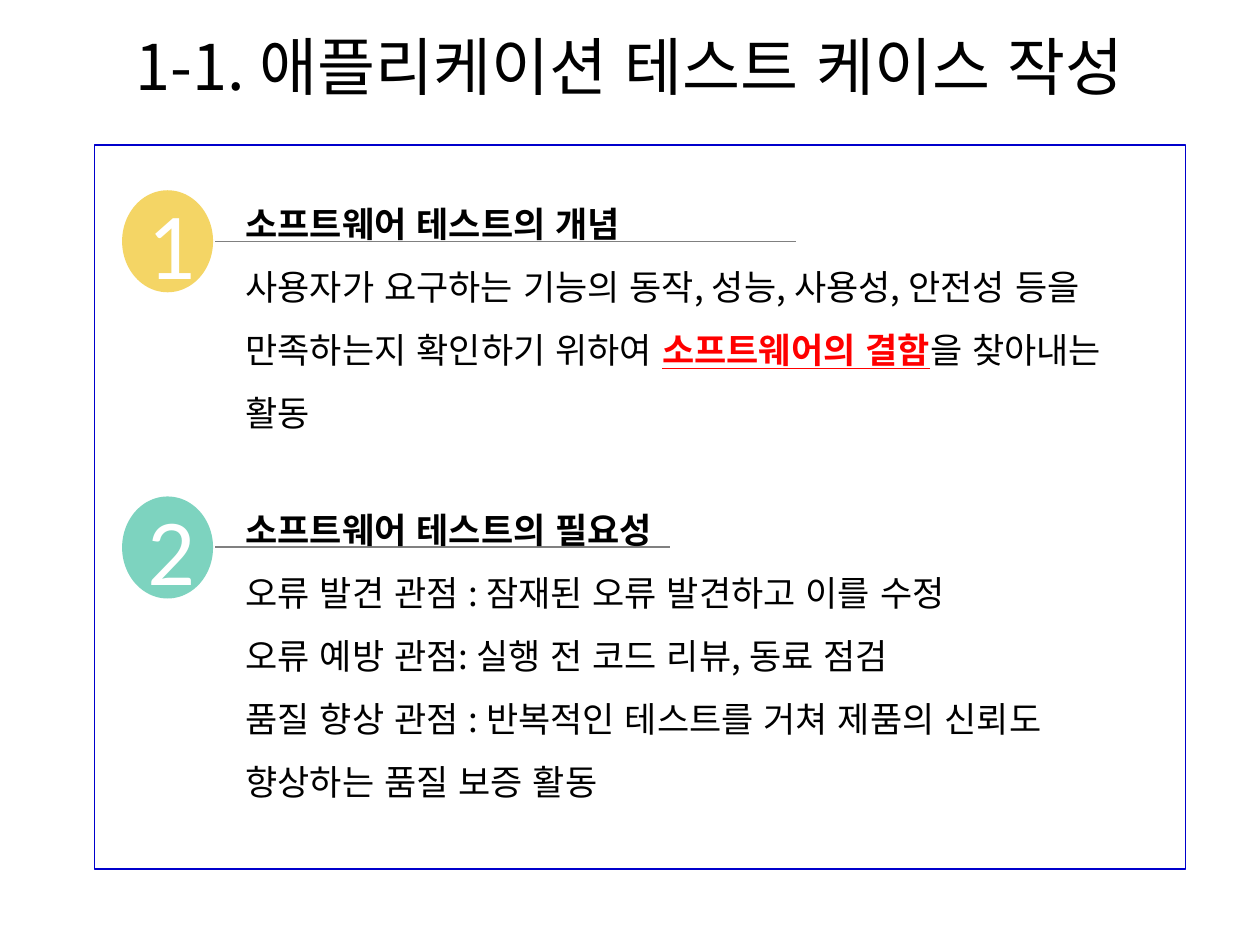
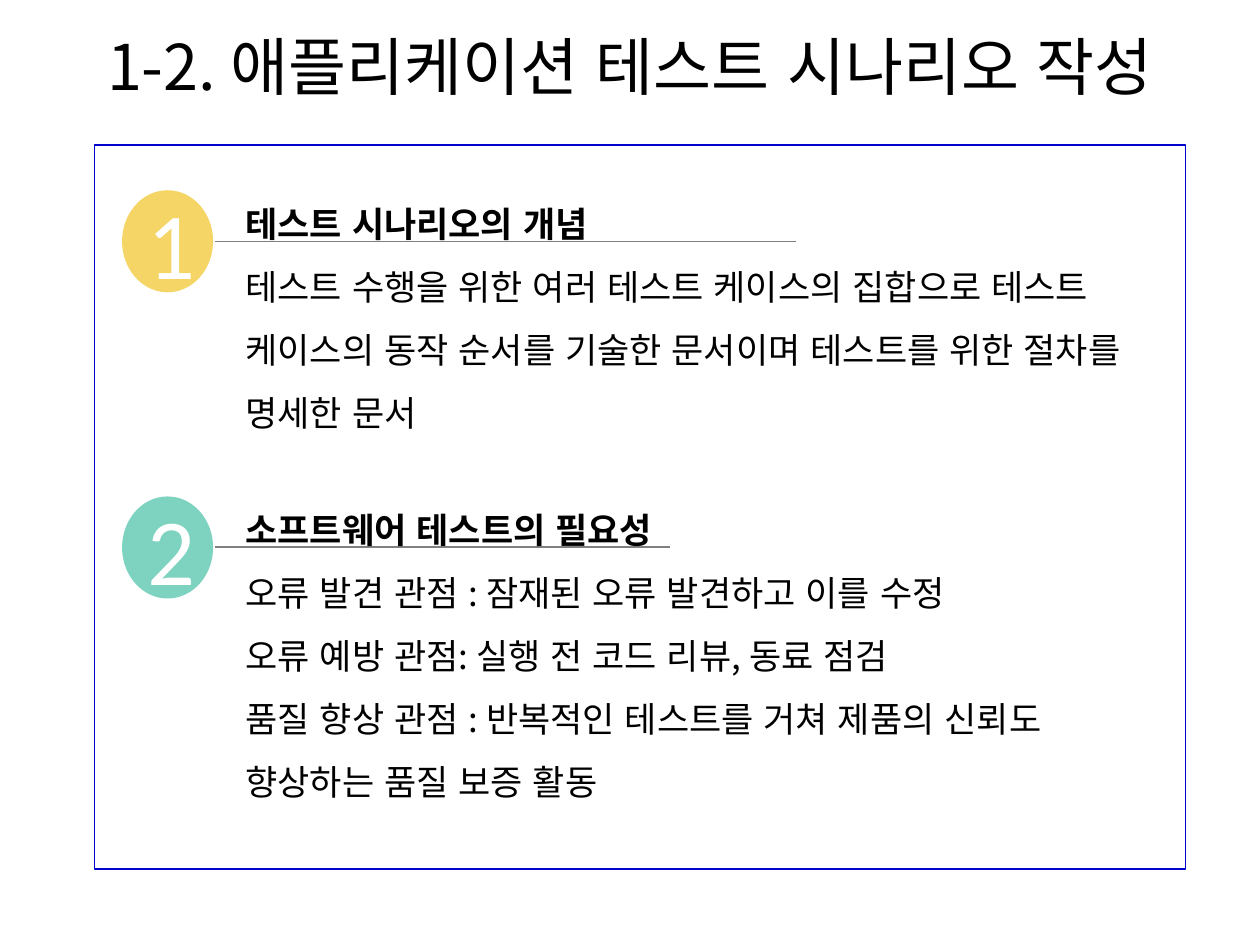
from dataclasses import dataclass

import pptx
import pptx.dml.color
import pptx.enum.dml
import pptx.enum.lang
import pptx.enum.shapes
import pptx.enum.text
import pptx.oxml
import pptx.oxml.ns
import pptx.presentation
import pptx.shapes.autoshape
import pptx.slide
import pptx.text.text
import pptx.util

Pt = pptx.util.Pt
RGBColor = pptx.dml.color.RGBColor
SHAPES = pptx.enum.shapes.MSO_SHAPE
ALIGN = pptx.enum.text.PP_ALIGN
ANCHOR = pptx.enum.text.MSO_ANCHOR

BLACK = RGBColor(0x00, 0x00, 0x00)
WHITE = RGBColor(0xFF, 0xFF, 0xFF)
RED = RGBColor(0xFF, 0x00, 0x00)
GRAY = RGBColor(0x80, 0x80, 0x80)
FRAME_BLUE = RGBColor(0x00, 0x00, 0xCC)
YELLOW = RGBColor(0xF0, 0xC4, 0x24)
TEAL = RGBColor(0x46, 0xC1, 0xA4)

KOREAN_FONT = "Noto Sans CJK KR"
NUMBER_FONT = "Calibri"
BADGE_OPACITY = 70


@dataclass(frozen=True)
class Phrase:
    text: str
    stressed: bool = False


@dataclass(frozen=True)
class Topic:
    heading: str
    body: tuple[tuple[Phrase, ...], ...]
    height: float


@dataclass(frozen=True)
class Slot:
    """Place and look of one numbered topic inside the frame."""
    number: str
    color: RGBColor
    badge_top: float
    text_top: float
    rule_y: float
    rule_end: float


@dataclass(frozen=True)
class Lesson:
    title: str
    topics: tuple[Topic, ...]


SLOTS = (
    Slot("1", YELLOW, 108.7, 100.1, 138, 455),
    Slot("2", TEAL, 283.7, 275, 312.5, 383),
)

NEED_FOR_TESTING = Topic("소프트웨어 테스트의 필요성", (
    (Phrase("오류 발견 관점 : 잠재된 오류 발견하고 이를 수정"),),
    (Phrase("오류 예방 관점: 실행 전 코드 리뷰, 동료 점검"),),
    (Phrase("품질 향상 관점 : 반복적인 테스트를 거쳐 제품의 신뢰도 향상하는 품질 보증 활동"),),
), 184.3)

LESSONS = (
    Lesson("1-1. 애플리케이션 테스트 케이스 작성", (
        Topic("소프트웨어 테스트의 개념", ((
            Phrase("사용자가 요구하는 기능의 동작, 성능, 사용성, 안전성 등을 만족하는지 확인하기 위하여 "),
            Phrase("소프트웨어의 결함", stressed=True),
            Phrase("을 찾아내는 활동"),
        ),), 152.6),
        NEED_FOR_TESTING,
    )),
    Lesson("1-2. 애플리케이션 테스트 시나리오 작성", (
        Topic("테스트 시나리오의 개념", ((
            Phrase("테스트 수행을 위한 여러 테스트 케이스의 집합으로 테스트 케이스의 동작 순서를 "
                   "기술한 문서이며 테스트를 위한 절차를 명세한 문서"),
        ),), 148.3),
        NEED_FOR_TESTING,
    )),
)


def add_run(paragraph: pptx.text.text._Paragraph, text: str, size: float,
            font: str = KOREAN_FONT, color: RGBColor = BLACK,
            bold: bool = False, underline: bool = False) -> None:
    run = paragraph.add_run()
    run.text = text
    run.font.size = Pt(size)
    run.font.name = font
    run.font.bold = bold
    run.font.underline = underline
    run.font.color.rgb = color
    run.font.language_id = pptx.enum.lang.MSO_LANGUAGE_ID.KOREAN
    # Hangul takes its typeface from the East Asian font
    east_asian = pptx.oxml.parse_xml(
        f'<a:ea {pptx.oxml.ns.nsdecls("a")} typeface="{font}"/>')
    run.font._element.append(east_asian)


def add_title(slide: pptx.slide.Slide, title: str) -> None:
    frame = slide.shapes.add_textbox(Pt(8.6), Pt(3.6), Pt(702.7), Pt(67.7)).text_frame
    frame.word_wrap = True
    frame.vertical_anchor = ANCHOR.MIDDLE
    frame.paragraphs[0].alignment = ALIGN.CENTER
    add_run(frame.paragraphs[0], title, 36)


def add_badge(slide: pptx.slide.Slide, slot: Slot) -> None:
    badge = slide.shapes.add_shape(
        SHAPES.OVAL, Pt(69.8), Pt(slot.badge_top), Pt(52), Pt(58.3))
    badge.shadow.inherit = False
    badge.fill.solid()
    badge.fill.fore_color.rgb = slot.color
    badge.line.fill.background()
    # Let the white slide show through the fill
    color = badge._element.spPr.find(".//" + pptx.oxml.ns.qn("a:srgbClr"))
    color.append(pptx.oxml.parse_xml(
        f'<a:alpha {pptx.oxml.ns.nsdecls("a")} val="{BADGE_OPACITY * 1000}"/>'))
    frame = badge.text_frame
    frame.vertical_anchor = ANCHOR.MIDDLE
    frame.paragraphs[0].alignment = ALIGN.CENTER
    add_run(frame.paragraphs[0], slot.number, 54, NUMBER_FONT, WHITE)


def add_rule(slide: pptx.slide.Slide, slot: Slot) -> None:
    rule = slide.shapes.add_connector(
        pptx.enum.shapes.MSO_CONNECTOR.STRAIGHT,
        Pt(123), Pt(slot.rule_y), Pt(slot.rule_end), Pt(slot.rule_y))
    rule.line.color.rgb = GRAY
    rule.line.width = Pt(0.75)
    rule._element.spPr.append(
        pptx.oxml.parse_xml(f'<a:effectLst {pptx.oxml.ns.nsdecls("a")}/>'))


def add_topic_text(slide: pptx.slide.Slide, topic: Topic, slot: Slot) -> None:
    frame = slide.shapes.add_textbox(
        Pt(133.2), Pt(slot.text_top), Pt(517), Pt(topic.height)).text_frame
    frame.word_wrap = True
    frame.auto_size = pptx.enum.text.MSO_AUTO_SIZE.SHAPE_TO_FIT_TEXT
    heading = frame.paragraphs[0]
    heading.line_spacing = 1.5
    add_run(heading, topic.heading, 20, bold=True)
    for phrases in topic.body:
        paragraph = frame.add_paragraph()
        paragraph.line_spacing = 1.5
        for phrase in phrases:
            add_run(paragraph, phrase.text, 20,
                    color=RED if phrase.stressed else BLACK,
                    bold=phrase.stressed, underline=phrase.stressed)


def add_frame(slide: pptx.slide.Slide) -> None:
    border = slide.shapes.add_shape(
        SHAPES.RECTANGLE, Pt(54), Pt(82.8), Pt(623.5), Pt(414))
    border.shadow.inherit = False
    border.fill.background()
    border.line.color.rgb = FRAME_BLUE
    border.line.width = Pt(1)


def add_lesson(deck: pptx.presentation.Presentation, lesson: Lesson) -> None:
    slide = deck.slides.add_slide(deck.slide_layouts[6])
    add_title(slide, lesson.title)
    add_frame(slide)
    for topic, slot in zip(lesson.topics, SLOTS):
        add_badge(slide, slot)
        add_rule(slide, slot)
        add_topic_text(slide, topic, slot)


def main() -> None:
    deck = pptx.Presentation()
    deck.slide_width = Pt(720)
    deck.slide_height = Pt(540)
    for lesson in LESSONS:
        add_lesson(deck, lesson)
    deck.save("out.pptx")


if __name__ == "__main__":
    main()
